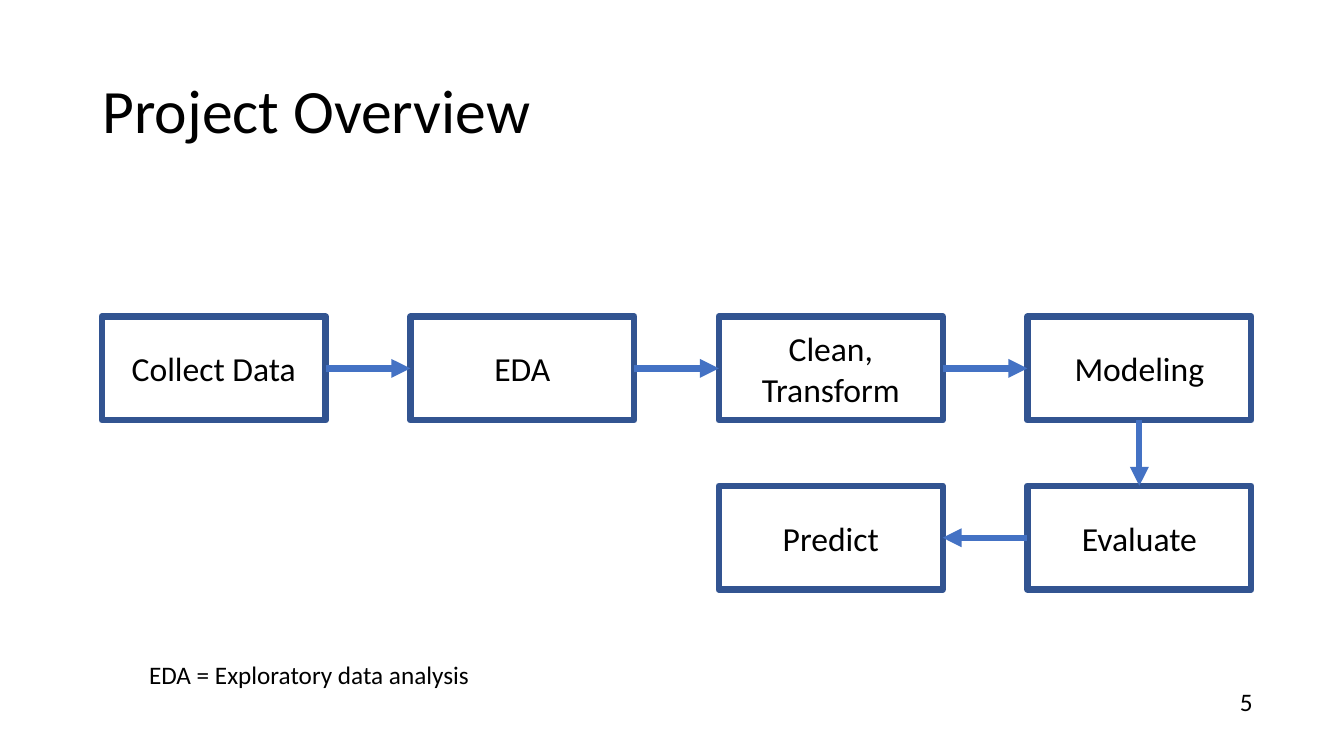
from lxml import etree
from pptx import Presentation
from pptx import util as u
from pptx.dml.color import RGBColor
from pptx.enum import shapes, text
from pptx.oxml import ns

COLORS = {"text": "000000", "border": "325491", "arrow": "4472C4"}
FONT = "Calibri"
LINE_WIDTH = u.Pt(4.5)
GRID = {"left": 1.01, "top": 3.14, "column": 3.06, "row": 1.68}
BOX = {"width": 2.22, "height": 1.03}
TOP, LEFT, BOTTOM, RIGHT = range(4)

STEPS = {
    "Collect Data": (0, 0),
    "EDA": (1, 0),
    "Clean, Transform": (2, 0),
    "Modeling": (3, 0),
    "Evaluate": (3, 1),
    "Predict": (2, 1),
}
FLOW = [
    ("Collect Data", RIGHT, "EDA", LEFT),
    ("EDA", RIGHT, "Clean, Transform", LEFT),
    ("Clean, Transform", RIGHT, "Modeling", LEFT),
    ("Modeling", BOTTOM, "Evaluate", TOP),
    ("Evaluate", LEFT, "Predict", RIGHT),
]


def set_attributes(target, values):
    for name, value in values.items():
        setattr(target, name, value)


def color(name):
    return RGBColor.from_string(COLORS[name])


def write(shape, wording, size, frame_format, paragraph_format):
    frame = shape.text_frame
    set_attributes(frame, {"word_wrap": True, **frame_format})
    paragraph = frame.paragraphs[0]
    set_attributes(paragraph, paragraph_format)
    run = paragraph.add_run()
    run.text = wording
    set_attributes(run.font, {"name": FONT, "size": u.Pt(size)})
    run.font.color.rgb = color("text")


def style_line(line, name):
    line.color.rgb = color(name)
    line.width = LINE_WIDTH


def add_label(slide, wording, place, size, frame_format=None, paragraph_format=None):
    label = slide.shapes.add_textbox(*map(u.Inches, place))
    write(label, wording, size, frame_format or {}, paragraph_format or {})


def add_step(slide, wording, column, row):
    left = GRID["left"] + column * GRID["column"]
    top = GRID["top"] + row * GRID["row"]
    place = (left, top, BOX["width"], BOX["height"])
    step = slide.shapes.add_shape(shapes.MSO_SHAPE.RECTANGLE, *map(u.Inches, place))
    step.shadow.inherit = False
    step.fill.background()
    style_line(step.line, "border")
    write(step, wording, 24,
          {"vertical_anchor": text.MSO_ANCHOR.MIDDLE},
          {"alignment": text.PP_ALIGN.CENTER})
    return step


def add_arrow(slide, source, source_side, target, target_side):
    arrow = slide.shapes.add_connector(shapes.MSO_CONNECTOR.STRAIGHT, 0, 0, 0, 0)
    arrow.begin_connect(source, source_side)
    arrow.end_connect(target, target_side)
    style_line(arrow.line, "arrow")
    properties = arrow.element.spPr
    outline = properties.find(ns.qn("a:ln"))
    etree.SubElement(outline, ns.qn("a:tailEnd"), type="triangle")
    etree.SubElement(properties, ns.qn("a:effectLst"))


def main():
    presentation = Presentation()
    set_attributes(presentation, {"slide_width": u.Inches(13.33),
                                  "slide_height": u.Inches(7.5)})
    slide = presentation.slides.add_slide(presentation.slide_layouts[6])

    add_label(slide, "Project Overview", (0.92, 0.4, 11.5, 1.45), 44,
              {"vertical_anchor": text.MSO_ANCHOR.MIDDLE}, {"line_spacing": 0.9})
    steps = {wording: add_step(slide, wording, *cell) for wording, cell in STEPS.items()}
    for source, source_side, target, target_side in FLOW:
        add_arrow(slide, steps[source], source_side, steps[target], target_side)
    add_label(slide, "EDA = Exploratory data analysis", (1.38, 6.49, 8.97, 0.4), 18)
    add_label(slide, "5", (12.2, 6.76, 0.67, 0.4), 18)

    presentation.save("out.pptx")


if __name__ == "__main__":
    main()
